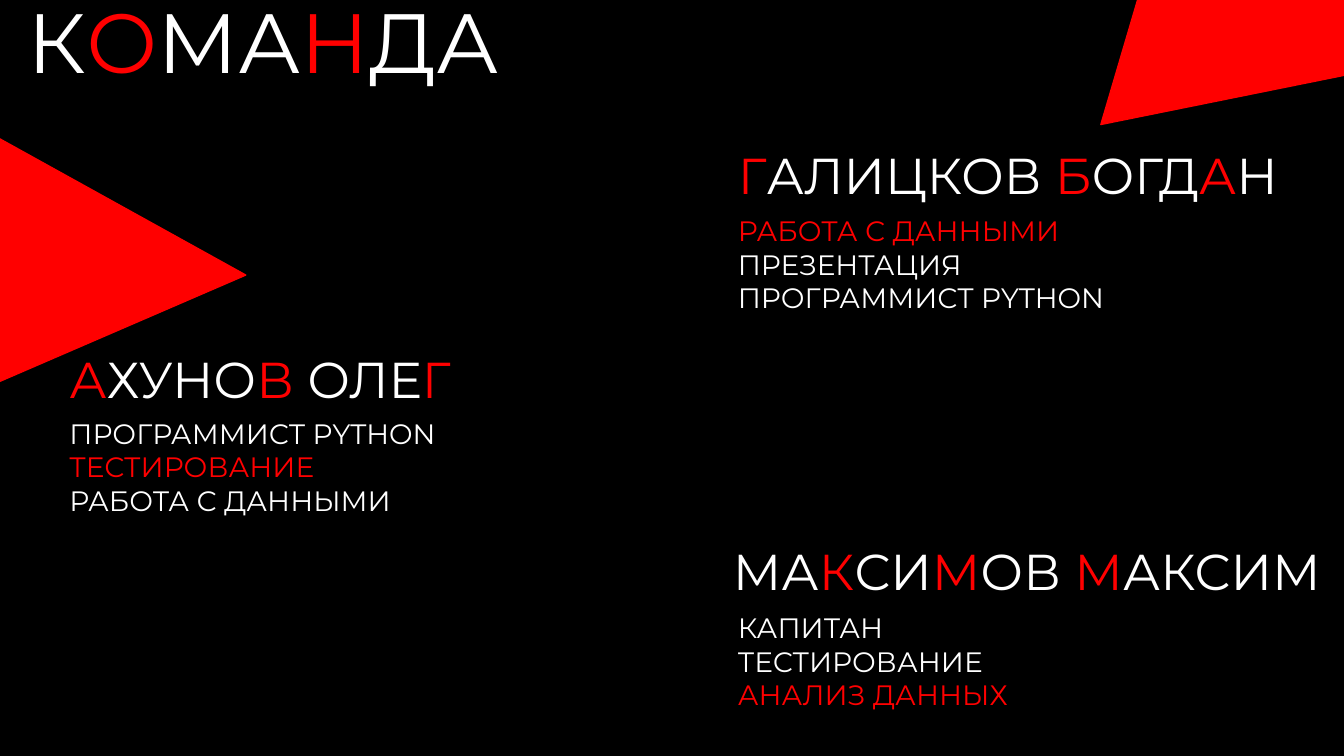
import pptx
import pptx.util
import pptx.dml.color
import pptx.enum.shapes
import pptx.enum.text

PX = 9144
WHITE = "FFFFFF"
RED = "FF0000"


def rgb(value):
    return pptx.dml.color.RGBColor.from_string(value)


def add_text(s, box, size, lines, wrap=False):
    tf = s.shapes.add_textbox(*[v * PX for v in box]).text_frame
    tf.word_wrap = wrap
    tf.auto_size = pptx.enum.text.MSO_AUTO_SIZE.SHAPE_TO_FIT_TEXT
    for i, line in enumerate(lines):
        p = tf.add_paragraph() if i else tf.paragraphs[0]
        for j, part in enumerate(line.split("*")):
            if part:
                r = p.add_run()
                r.text = part
                r.font.name = "Montserrat"
                r.font.size = pptx.util.Pt(size)
                r.font.color.rgb = rgb(RED if j % 2 else WHITE)


prs = pptx.Presentation()
prs.slide_width = 1333 * PX
prs.slide_height = 750 * PX
s = prs.slides.add_slide(prs.slide_layouts[6])
s.background.fill.solid()
s.background.fill.fore_color.rgb = rgb("000000")

triangles = [
    ((996, -220, 494, 410), 227.5),
    ((-238, 18, 478, 486), 92.8),
]
for box, angle in triangles:
    sp = s.shapes.add_shape(
        pptx.enum.shapes.MSO_SHAPE.ISOSCELES_TRIANGLE, *[v * PX for v in box])
    sp.rotation = angle
    sp.shadow.inherit = False
    sp.fill.solid()
    sp.fill.fore_color.rgb = rgb(RED)
    sp.line.color.rgb = rgb(RED)
    sp.line.width = pptx.util.Pt(1)

add_text(s, (17, -15, 586, 111), 60, ["К*О*МА*Н*ДА"], wrap=True)

members = [
    ((722, 138, 574, 71), "*Г*АЛИЦКОВ *Б*ОГД*А*Н",
     (722, 207, 393, 111),
     ["*РАБОТА С ДАННЫМИ*", "ПРЕЗЕНТАЦИЯ", "ПРОГРАММИСТ PYTHON"]),
    ((717, 531, 616, 71), "МА*К*СИ*М*ОВ *М*АКСИМ",
     (722, 601, 296, 111),
     ["КАПИТАН", "ТЕСТИРОВАНИЕ", "*АНАЛИЗ ДАННЫХ*"]),
    ((59, 340, 411, 71), "*А*ХУНО*В* ОЛЕ*Г*",
     (59, 408, 393, 111),
     ["ПРОГРАММИСТ PYTHON", "*ТЕСТИРОВАНИЕ*", "РАБОТА С ДАННЫМИ"]),
]
for name_box, name, roles_box, roles in members:
    add_text(s, name_box, 36, [name])
    add_text(s, roles_box, 20, roles)

prs.save("out.pptx")
